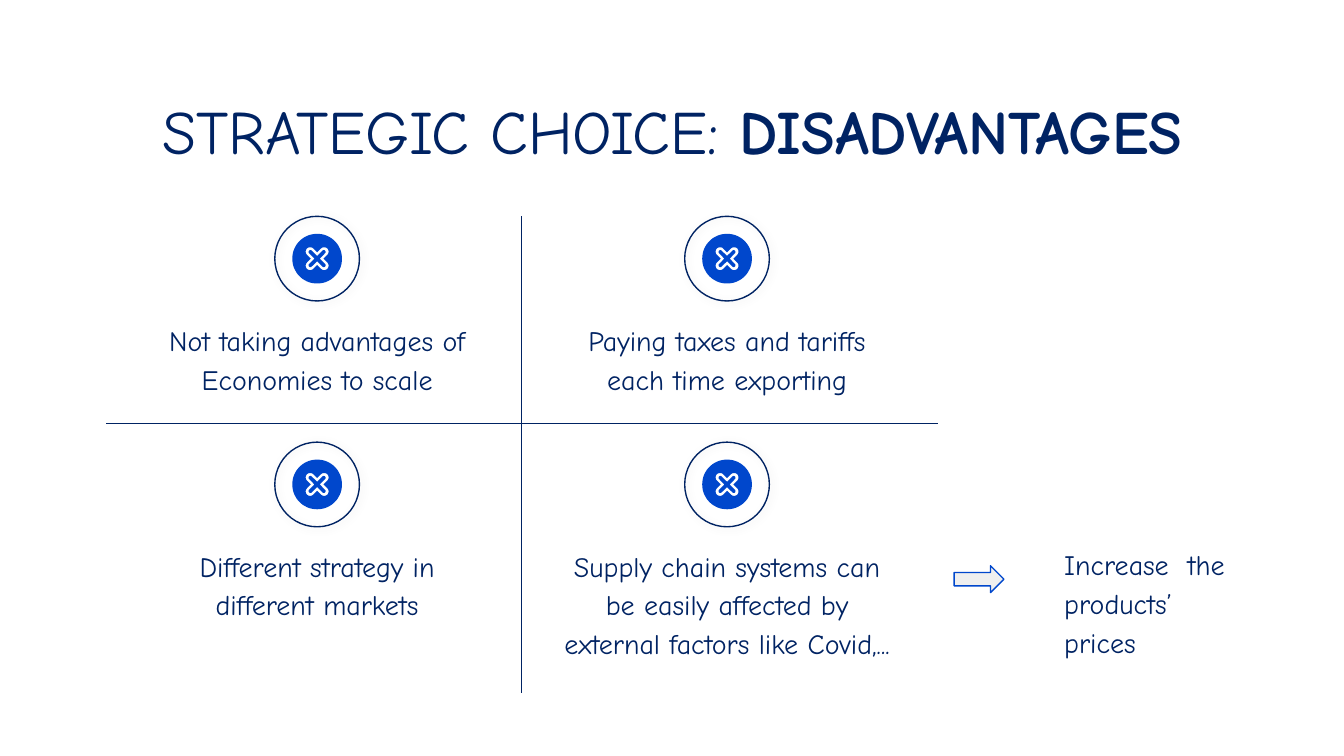
import math

import lxml.etree
import pptx
import pptx.dml.color
import pptx.enum.shapes
import pptx.enum.text
import pptx.oxml.ns
import pptx.util

Inches = pptx.util.Inches
Pt = pptx.util.Pt
qn = pptx.oxml.ns.qn
shapes = pptx.enum.shapes
text = pptx.enum.text

TITLE = [("STRATEGIC CHOICE: ", False), ("DISADVANTAGES", True)]
DISADVANTAGES = [
    ["Not taking advantages of Economies to scale",
     "Paying taxes and tariffs each time exporting"],
    ["Different strategy in different markets",
     "Supply chain systems can be easily affected by external factors like Covid,..."],
]
OUTCOME = "Increase the products’ prices"

COLORS = {"navy": "002363", "blue": "0047CC", "gray": "EFEFEF", "black": "000000"}
FONT = "Comic Neue"
COLUMN_LEFTS = [0.99, 4.04]
ROW_TOPS = [1.61, 3.29]
CELL_WIDTH, RING_SIZE, TEXT_DROP = 2.74, 0.63, 0.66
DIVIDERS = [(0.79, 3.15, 6.98, 3.15), (3.88, 1.61, 3.88, 5.16)]
DISC_RADIUS = 185
OUTER_CROSS, INNER_CROSS = (74, 33), (70, 14)


def color(name):
    return pptx.dml.color.RGBColor.from_string(COLORS[name])


def apply(target, values):
    for name, value in values.items():
        setattr(target, name, value)


def place(left, top, width, height):
    return [Inches(value) for value in (left, top, width, height)]


def set_frame(box, **values):
    margins = {f"margin_{side}": Inches(0.1) for side in ("left", "right", "top", "bottom")}
    apply(box.text_frame, {
        "word_wrap": True, "auto_size": text.MSO_AUTO_SIZE.NONE,
        "vertical_anchor": text.MSO_ANCHOR.TOP, **margins, **values})


def write(para, runs, size, **values):
    apply(para, values)
    for words, bold in runs:
        span = para.add_run()
        span.text = words
        apply(span.font, {"name": FONT, "size": Pt(size), "bold": bold})
        span.font.color.rgb = color("navy")


def add_text(page, words, area, align, **frame):
    box = page.shapes.add_textbox(*place(*area))
    set_frame(box, **frame)
    write(box.text_frame.paragraphs[0], [(words, False)], 15,
          alignment=align, line_spacing=1.15)


def set_line(shape, name):
    shape.line.color.rgb = color(name)
    shape.line.width = Pt(0.75)


def arc(center, radius, start, sweep, steps):
    angles = [math.radians(start + sweep * step / steps) for step in range(steps + 1)]
    return [(center[0] + radius * math.cos(angle), center[1] + radius * math.sin(angle))
            for angle in angles]


def cross(reach, radius):
    points = []
    for angle in range(45, 405, 90):
        tip = arc((0, 0), reach, angle, 0, 1)[0]
        points += arc(tip, radius, angle - 90, 180, 10)
        points += arc((0, 0), radius * math.sqrt(2), angle + 45, 0, 1)[:1]
    return points


def add_outline(page, center, contours):
    builder = page.shapes.build_freeform(*contours[0][0], scale=Inches(1) / 1000)
    for index, points in enumerate(contours):
        if index:
            builder.move_to(*points[0])
        builder.add_line_segments(points[1:], close=True)
    shape = builder.convert_to_shape(*[Inches(value) for value in center])
    shape.shadow.inherit = False
    shape.fill.solid()
    shape.fill.fore_color.rgb = color("blue")
    shape.line.fill.background()


def add_ring(page, left, top):
    ring = page.shapes.add_shape(shapes.MSO_SHAPE.OVAL, *place(left, top, RING_SIZE, RING_SIZE))
    ring.shadow.inherit = False
    ring.fill.background()
    set_line(ring, "navy")
    effects = ring._element.spPr.find(qn("a:effectLst"))
    shadow = lxml.etree.SubElement(
        effects, qn("a:outerShdw"), blurRad=str(Pt(4.5)), dist=str(Pt(1.5)),
        dir=str(41 * 60000), algn="bl", rotWithShape="0")
    tint = lxml.etree.SubElement(shadow, qn("a:srgbClr"), val=COLORS["black"])
    lxml.etree.SubElement(tint, qn("a:alpha"), val="10000")


def add_cell(page, words, left, top):
    add_ring(page, left + (CELL_WIDTH - RING_SIZE) / 2, top)
    center = (left + CELL_WIDTH / 2, top + RING_SIZE / 2)
    disc = arc((0, 0), DISC_RADIUS, 0, 360, 72)
    add_outline(page, center, [disc, cross(*OUTER_CROSS)])
    add_outline(page, center, [cross(*INNER_CROSS)])
    height = 1.06 if len(words) > 50 else 0.87
    add_text(page, words, (left, top + TEXT_DROP, CELL_WIDTH, height), text.PP_ALIGN.CENTER)


def add_divider(page, ends):
    divider = page.shapes.add_connector(
        shapes.MSO_CONNECTOR.STRAIGHT, *[Inches(value) for value in ends])
    set_line(divider, "navy")
    lxml.etree.SubElement(divider._element.spPr, qn("a:effectLst"))


def add_arrow(page):
    arrow = page.shapes.add_shape(shapes.MSO_SHAPE.RIGHT_ARROW, *place(7.1, 4.21, 0.37, 0.2))
    arrow.shadow.inherit = False
    arrow.fill.solid()
    arrow.fill.fore_color.rgb = color("gray")
    set_line(arrow, "blue")


def main():
    deck = pptx.Presentation()
    apply(deck, {"slide_width": Inches(10), "slide_height": Inches(10 * 9 / 16)})
    page = deck.slides.add_slide(deck.slide_layouts[5])
    title = page.shapes.title
    apply(title, dict(zip(("left", "top", "width", "height"), place(0.79, 0.59, 8.43, 0.69))))
    set_frame(title)
    write(title.text_frame.paragraphs[0], TITLE, 33, alignment=text.PP_ALIGN.CENTER)
    for top, row in zip(ROW_TOPS, DISADVANTAGES):
        for left, words in zip(COLUMN_LEFTS, row):
            add_cell(page, words, left, top)
    for ends in DIVIDERS:
        add_divider(page, ends)
    add_arrow(page)
    add_text(page, OUTCOME, (7.82, 3.94, 1.39, 0.74), text.PP_ALIGN.JUSTIFY,
             auto_size=text.MSO_AUTO_SIZE.SHAPE_TO_FIT_TEXT)
    deck.save("out.pptx")


if __name__ == "__main__":
    main()
